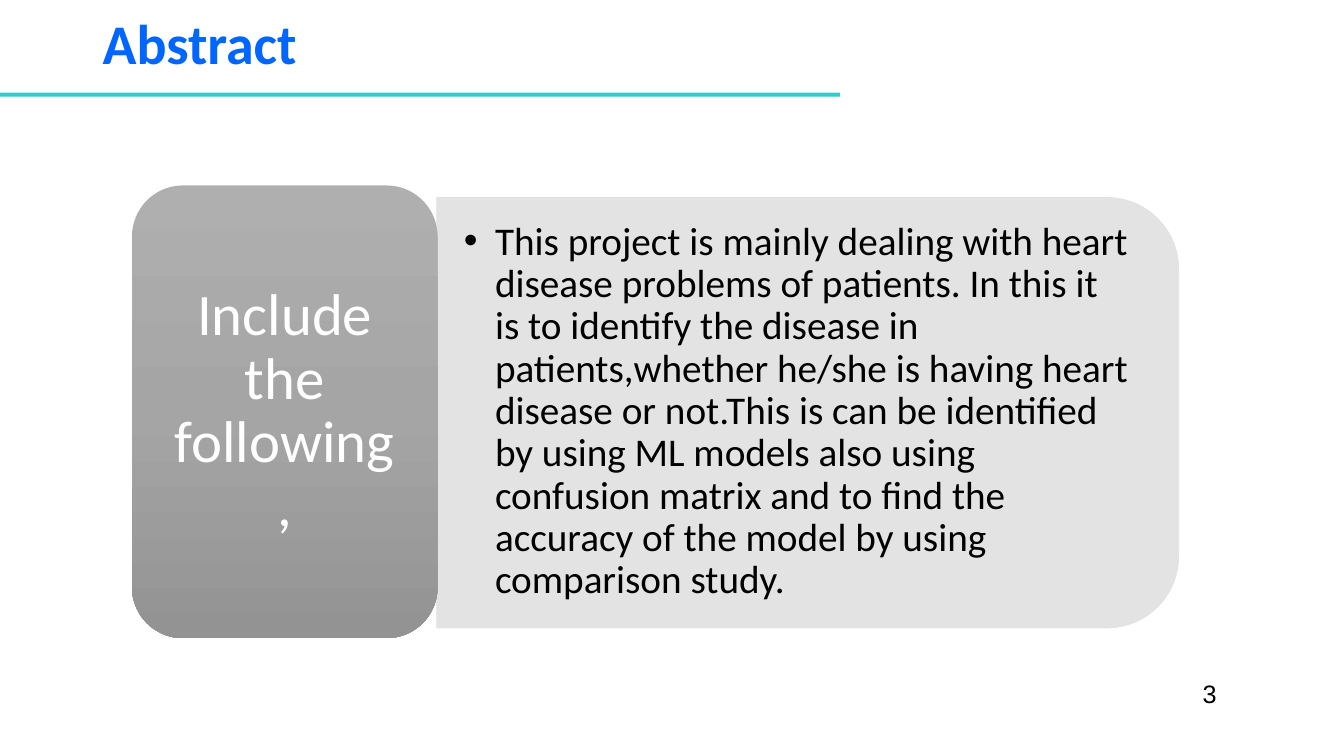
from copy import deepcopy

from lxml import etree
from pptx import Presentation
from pptx import util as u
from pptx.dml.color import RGBColor
from pptx.enum import shapes, text
from pptx.oxml.ns import qn

TITLE = "Abstract"
LABEL = "Include the following,"
BODY = (
    "This project is mainly dealing with heart disease problems of patients. "
    "In this it is to identify the disease in patients,whether he/she is having "
    "heart disease or not.This is can be identified by using ML models also using "
    "confusion matrix and to find the accuracy of the model by using comparison study."
)
PAGE_NUMBER = "3"

BLUE = RGBColor(0x00, 0x66, 0xFF)
TEAL = RGBColor(0x33, 0xCC, 0xCC)
PALE_GRAY = RGBColor(0xE1, 0xE1, 0xE1)
BLACK = RGBColor(0x00, 0x00, 0x00)
WHITE = RGBColor(0xFF, 0xFF, 0xFF)
LABEL_GRADIENT = [
    (0, RGBColor(0xAF, 0xAF, 0xAF)),
    (0.5, RGBColor(0xA5, 0xA5, 0xA5)),
    (1, RGBColor(0x93, 0x93, 0x93)),
]

LABEL_BOX = (1.31, 1.84, 3.03, 4.49)
PANEL_BOX = (4.33, 1.96, 7.36, 4.27)
BODY_BOX = (4.33, 2.16, 7.15, 3.85)


def add_shape(slide, kind, box):
    shape = slide.shapes.add_shape(kind, *map(u.Inches, box))
    shape.shadow.inherit = False
    shape.line.fill.background()
    return shape


def write(shape, content, size, color, font="Calibri", bold=False, spacing=None,
          anchor=text.MSO_ANCHOR.MIDDLE, align=text.PP_ALIGN.LEFT, insets=(0.1, 0.05)):
    frame = shape.text_frame
    frame.word_wrap = True
    frame.vertical_anchor = anchor
    frame.margin_left = frame.margin_right = u.Inches(insets[0])
    frame.margin_top = frame.margin_bottom = u.Inches(insets[1])
    frame.text = content
    paragraph = frame.paragraphs[0]
    paragraph.alignment = align
    paragraph.line_spacing = spacing
    run_font = paragraph.runs[0].font
    run_font.name, run_font.size, run_font.bold = font, u.Pt(size), bold
    run_font.color.rgb = color
    return paragraph


def add_text(slide, box, content, size, color, **options):
    shape = slide.shapes.add_textbox(*map(u.Inches, box))
    return write(shape, content, size, color, **options)


def add_panel(slide):
    left, top, width, height = PANEL_BOX
    shift = (width - height) / 2
    panel = add_shape(slide, shapes.MSO_SHAPE.ROUND_2_SAME_RECTANGLE,
                      (left + shift, top - shift, height, width))
    panel.rotation = 90
    panel.fill.solid()
    panel.fill.fore_color.rgb = PALE_GRAY
    panel.line.color.rgb = PALE_GRAY
    panel.line.width = u.Pt(0.5)
    for color in panel._element.spPr.iter(qn("a:srgbClr")):
        etree.SubElement(color, qn("a:alpha"), val="90000")


def add_label(slide):
    label = add_shape(slide, shapes.MSO_SHAPE.ROUNDED_RECTANGLE, LABEL_BOX)
    label.fill.gradient()
    label.fill.gradient_angle = 270
    first_stop = next(label._element.spPr.iter(qn("a:gs")))
    first_stop.addnext(deepcopy(first_stop))
    for stop, (position, color) in zip(label.fill.gradient_stops, LABEL_GRADIENT):
        stop.position = position
        stop.color.rgb = color
    write(label, LABEL, 42, WHITE, spacing=0.9,
          align=text.PP_ALIGN.CENTER, insets=(0.24, 0.16))


def main():
    presentation = Presentation()
    presentation.slide_width = u.Inches(13.33)
    presentation.slide_height = u.Inches(7.5)
    slide = presentation.slides.add_slide(presentation.slide_layouts[6])

    rule = add_shape(slide, shapes.MSO_SHAPE.RECTANGLE, (0, 0.92, 8.33, 0.04))
    rule.fill.solid()
    rule.fill.fore_color.rgb = TEAL
    add_text(slide, (0.92, 0, 11.5, 0.92), TITLE, 40, BLUE, bold=True, spacing=0.9)

    add_panel(slide)
    body = add_text(slide, BODY_BOX, BODY, 28, BLACK, spacing=0.9, insets=(0.27, 0.14))
    properties = body._p.get_or_add_pPr()
    properties.set("marL", str(u.Inches(0.31)))
    properties.set("indent", str(-u.Inches(0.31)))
    etree.SubElement(properties, qn("a:buFont"), typeface="Arial")
    etree.SubElement(properties, qn("a:buChar"), char="•")

    add_label(slide)
    add_text(slide, (11.83, 6.68, 1, 0.4), PAGE_NUMBER, 18, BLACK,
             font="Arial", anchor=text.MSO_ANCHOR.TOP)
    presentation.save("out.pptx")


if __name__ == "__main__":
    main()
